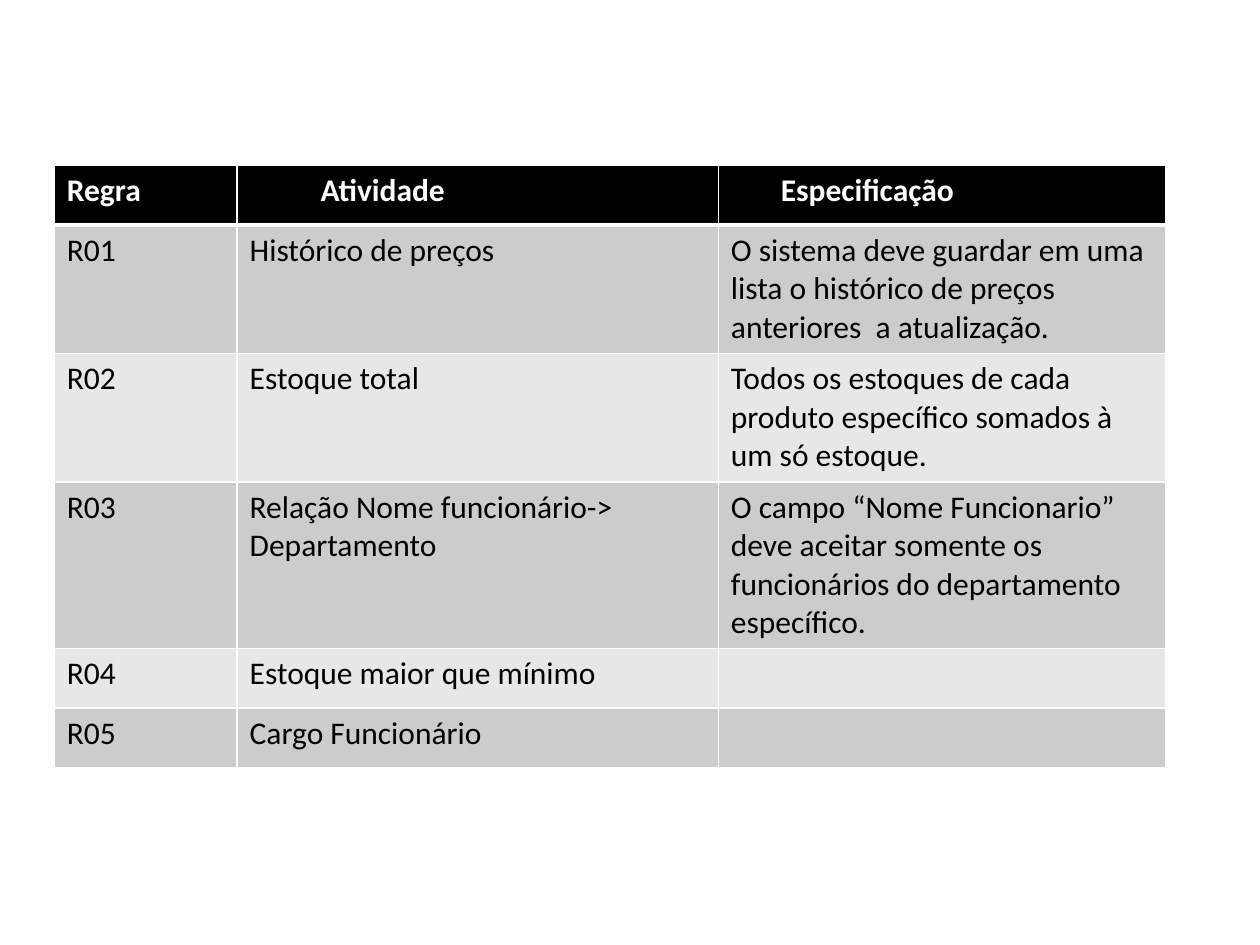
from lxml import etree
from pptx import Presentation
from pptx.dml.color import RGBColor
from pptx.oxml import ns
from pptx.util import Pt

HEADERS = ["Regra", "Atividade", "Especificação"]
RULES = [
    ("R01", "Histórico de preços",
     "O sistema deve guardar em uma lista o histórico de preços anteriores  a atualização."),
    ("R02", "Estoque total",
     "Todos os estoques de cada produto específico somados à um só estoque."),
    ("R03", "Relação Nome funcionário-> Departamento",
     "O campo “Nome Funcionario” deve aceitar somente os funcionários do departamento específico."),
    ("R04", "Estoque maior que mínimo", ""),
    ("R05", "Cargo Funcionário", ""),
]

BLACK = RGBColor(0x00, 0x00, 0x00)
WHITE = RGBColor(0xFF, 0xFF, 0xFF)
BANDS = [RGBColor(0xE7, 0xE7, 0xE7), RGBColor(0xCC, 0xCC, 0xCC)]

LEFT, TOP = 31, 94.5
COL_WIDTHS = [104.5, 275, 255.5]
ROW_HEIGHTS = [34, 73.5, 73.5, 95, 34, 34]
HEADER_INDENTS = [0, 40.5, 28.5]
CELL_MARGIN = 7.2


def set_borders(cell, widths):
    tc_pr = cell._tc.get_or_add_tcPr()
    for i, (side, width) in enumerate(widths.items()):
        ln = etree.Element(ns.qn(f"a:ln{side}"), w=str(Pt(width)))
        fill = etree.SubElement(ln, ns.qn("a:solidFill"))
        etree.SubElement(fill, ns.qn("a:srgbClr"), val=str(WHITE))
        tc_pr.insert(i, ln)


def fill_cell(cell, content, row, col):
    header = row == 0
    cell.fill.solid()
    cell.fill.fore_color.rgb = BLACK if header else BANDS[row % 2]
    if header:
        cell.margin_left = Pt(CELL_MARGIN + HEADER_INDENTS[col])
    set_borders(cell, {"L": 1, "R": 1, "T": 3 if row == 1 else 1, "B": 3 if header else 1})
    p = cell.text_frame.paragraphs[0]
    if content:
        r = p.add_run()
        r.text = content
        for name, value in {"name": "Calibri", "size": Pt(18), "bold": header}.items():
            setattr(r.font, name, value)
        r.font.color.rgb = WHITE if header else BLACK


def main():
    prs = Presentation()
    prs.slide_width, prs.slide_height = Pt(720), Pt(540)
    s = prs.slides.add_slide(prs.slide_layouts[6])
    rows = [HEADERS, *RULES]
    table = s.shapes.add_table(len(rows), len(HEADERS), Pt(LEFT), Pt(TOP),
                               Pt(sum(COL_WIDTHS)), Pt(sum(ROW_HEIGHTS))).table
    for column, width in zip(table.columns, COL_WIDTHS):
        column.width = Pt(width)
    for row, height in zip(table.rows, ROW_HEIGHTS):
        row.height = Pt(height)
    for i, row in enumerate(rows):
        for j, content in enumerate(row):
            fill_cell(table.cell(i, j), content, i, j)
    prs.save("out.pptx")


if __name__ == "__main__":
    main()
